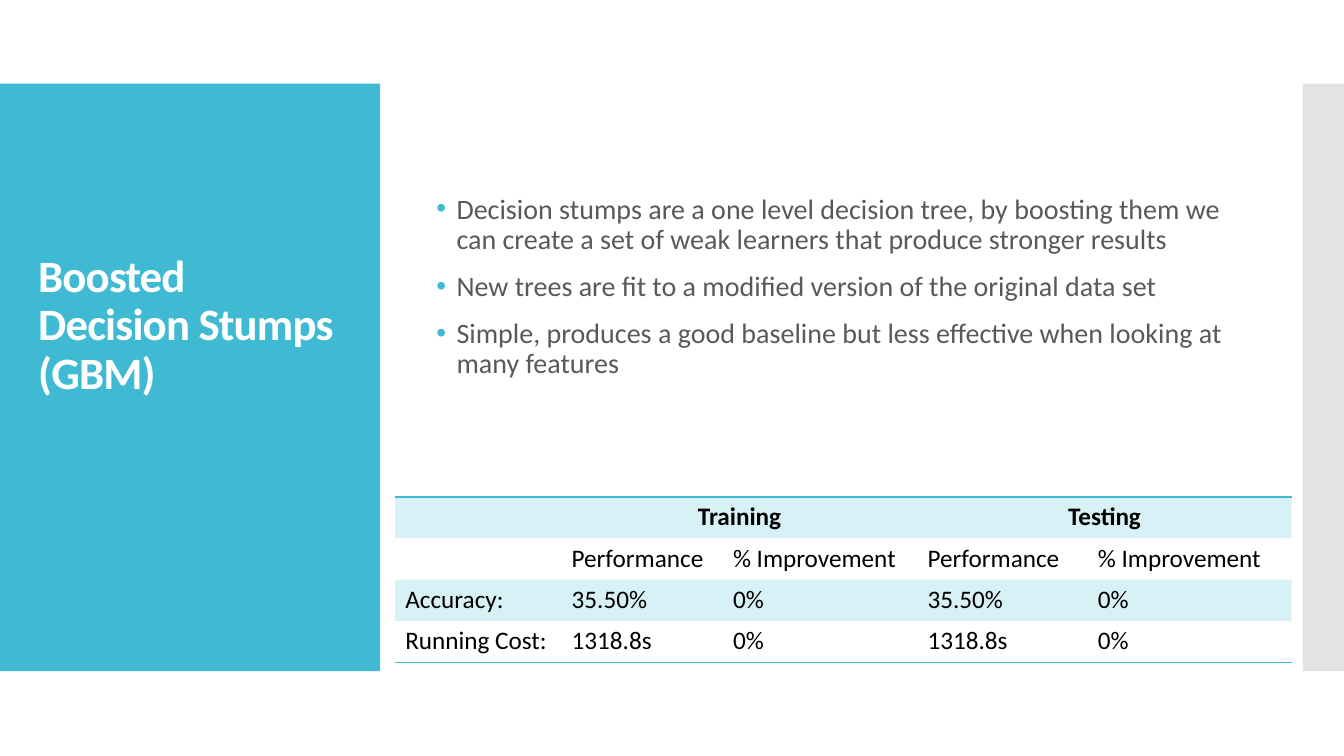
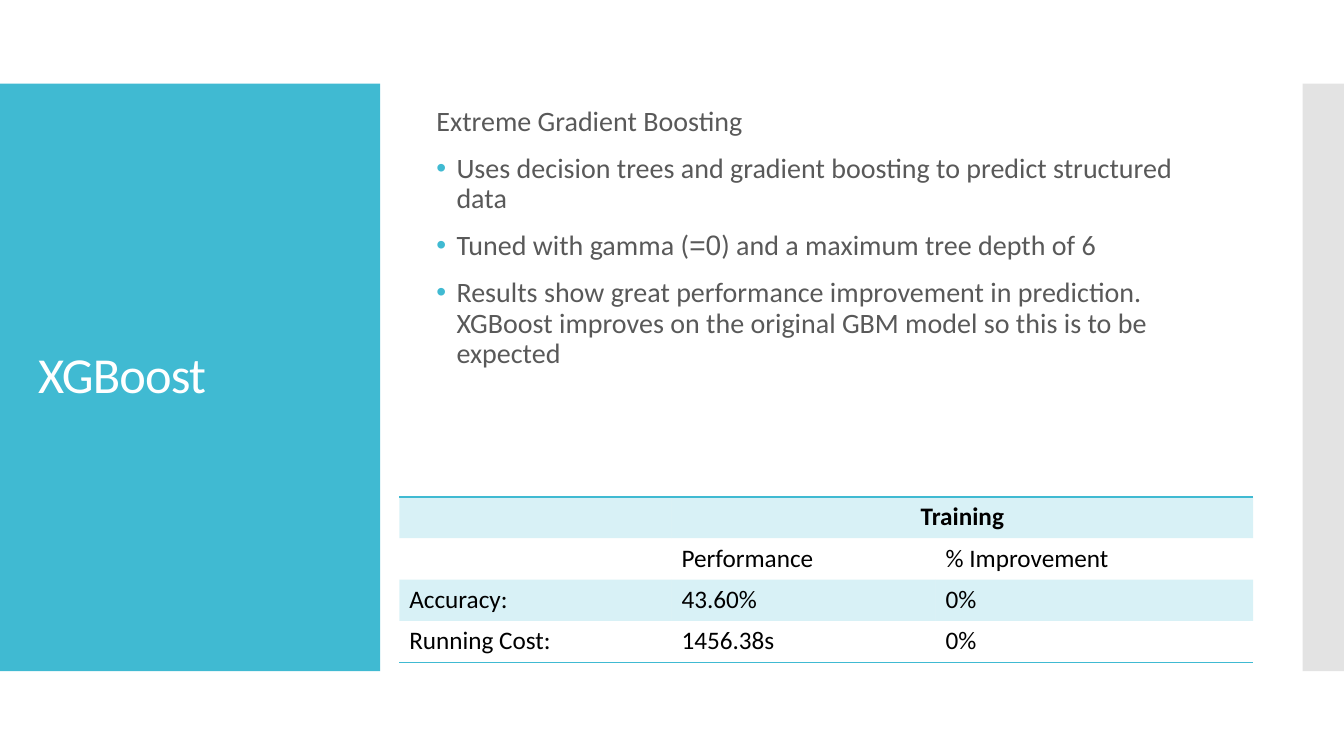
from dataclasses import dataclass

from lxml.etree import SubElement
from pptx import Presentation
from pptx.dml.color import RGBColor
from pptx.enum.shapes import MSO_SHAPE
from pptx.enum.text import MSO_ANCHOR, PP_ALIGN
from pptx.oxml import parse_xml
from pptx.oxml.ns import nsdecls, qn
from pptx.util import Inches, Pt


@dataclass(frozen=True)
class Theme:
    accent: str = "40BAD2"
    side: str = "C8C8C8"
    title: str = "FFFFFF"
    body: str = "595959"
    cell: str = "000000"
    font: str = "Calibri"
    symbol_font: str = "Arial"
    body_size: int = 20
    cell_size: int = 18
    line_spacing: float = 0.9
    space_before: int = 12
    title_tracking: int = -60  # hundredths of a point
    side_alpha: int = 50
    band_alpha: int = 20


THEME = Theme()
BAND_TOP, BAND_HEIGHT = 0.83, 5.83
TABLE_TOP, ROW_HEIGHT = 4.93, 0.41
PLAIN_TABLE = "{2D5ABB26-0587-4C30-8999-92F81FD0307C}"


# Formatting
def set_fill(fill, color, alpha=100):
    fill.solid()
    fill.fore_color.rgb = RGBColor.from_string(color)
    if alpha < 100:
        tint = fill._xPr.find(qn("a:solidFill"))[0]
        SubElement(tint, qn("a:alpha")).set("val", str(alpha * 1000))


def add_span(para, text, *, size, color, font=THEME.font, bold=False, tracking=0):
    span = para.add_run()
    span.text = text
    span.font.name = font
    span.font.size = Pt(size)
    span.font.bold = bold
    span.font.color.rgb = RGBColor.from_string(color)
    if tracking:
        span._r.get_or_add_rPr().set("spc", str(tracking))


def set_bullet(para):
    properties = para._p.get_or_add_pPr()
    indent = Inches(0.2)
    properties.set("marL", str(indent))
    properties.set("indent", str(-indent))
    color = SubElement(properties, qn("a:buClr"))
    SubElement(color, qn("a:srgbClr")).set("val", THEME.accent)
    SubElement(properties, qn("a:buFont")).set("typeface", "Arial")
    SubElement(properties, qn("a:buChar")).set("char", "•")


def set_border(cell, side):
    cell._tc.get_or_add_tcPr().insert(0, parse_xml(
        f'<a:{side} {nsdecls("a")} w="{Pt(1)}"><a:solidFill>'
        f'<a:srgbClr val="{THEME.accent}"/></a:solidFill></a:{side}>'))


# Slide parts
def add_band(page, left, width, color, alpha=100):
    band = page.shapes.add_shape(MSO_SHAPE.RECTANGLE, Inches(left), Inches(BAND_TOP),
                                 Inches(width), Inches(BAND_HEIGHT))
    band.shadow.inherit = False
    band.line.fill.background()
    set_fill(band.fill, color, alpha)


def add_frame(page, left, top, width, height):
    box = page.shapes.add_textbox(Inches(left), Inches(top), Inches(width), Inches(height))
    box.text_frame.word_wrap = True
    box.text_frame.vertical_anchor = MSO_ANCHOR.MIDDLE
    return box.text_frame


def add_title(page, text, *, height, size, bold=False):
    para = add_frame(page, 0.28, 1.23, 3.22, height).paragraphs[0]
    para.line_spacing = THEME.line_spacing
    add_span(para, text, size=size, color=THEME.title, bold=bold,
             tracking=THEME.title_tracking)


def add_body(page, bullets, *, height, lead=None):
    """Each bullet is a list of (text, font) pieces; lead is an unbulleted opening line."""
    frame = add_frame(page, 4.23, 0.94, 8, height)
    lines = [(bullet, True) for bullet in bullets]
    if lead:
        lines.insert(0, ([(lead, THEME.font)], False))
    for index, (pieces, bulleted) in enumerate(lines):
        para = frame.add_paragraph() if index else frame.paragraphs[0]
        para.line_spacing = THEME.line_spacing
        para.space_before = Pt(THEME.space_before)
        if bulleted:
            set_bullet(para)
        for text, font in pieces:
            add_span(para, text, size=THEME.body_size, color=THEME.body, font=font)


def add_results(page, left, widths, groups, accuracy, cost):
    """Each group heads a pair of columns: performance and improvement."""
    rows = [
        [""] + [text for group in groups for text in (group, "")],
        [""] + ["Performance", "% Improvement"] * len(groups),
        ["Accuracy:"] + [accuracy, "0%"] * len(groups),
        ["Running Cost:"] + [cost, "0%"] * len(groups),
    ]
    frame = page.shapes.add_table(len(rows), len(widths), Inches(left), Inches(TABLE_TOP),
                                  Inches(sum(widths)), Inches(ROW_HEIGHT * len(rows)))
    table = frame.table
    table.first_row = table.horz_banding = False
    table._tbl.tblPr.find(qn("a:tableStyleId")).text = PLAIN_TABLE
    for column, width in zip(table.columns, widths):
        column.width = Inches(width)
    for row_index, texts in enumerate(rows):
        table.rows[row_index].height = Inches(ROW_HEIGHT)
        header = row_index == 0
        for column_index, text in enumerate(texts):
            cell = table.cell(row_index, column_index)
            if row_index % 2 == 0:
                set_fill(cell.fill, THEME.accent, THEME.band_alpha)
            else:
                cell.fill.background()
            if header:
                set_border(cell, "lnT")
            elif row_index == len(rows) - 1:
                set_border(cell, "lnB")
            if text:
                para = cell.text_frame.paragraphs[0]
                para.alignment = PP_ALIGN.CENTER if header else PP_ALIGN.LEFT
                add_span(para, text, size=THEME.cell_size, color=THEME.cell, bold=header)
    for first in range(1, len(widths), 2):
        table.cell(0, first).merge(table.cell(0, first + 1))


def add_page(deck):
    page = deck.slides.add_slide(deck.slide_layouts[6])
    add_band(page, 0, 3.77, THEME.accent)
    add_band(page, 12.92, 0.42, THEME.side, THEME.side_alpha)
    return page


# Slides
def add_stumps_page(deck):
    page = add_page(deck)
    add_title(page, "Boosted Decision Stumps (GBM)", height=4.01, size=32, bold=True)
    add_body(page, [
        [("Decision stumps are a one level decision tree, by boosting them we can create "
          "a set of weak learners that produce stronger results", THEME.font)],
        [("New trees are fit to a modified version of the original data set", THEME.font)],
        [("Simple, produces a good baseline but less effective when looking at "
          "many features", THEME.font)],
    ], height=3.82)
    add_results(page, 3.92, [1.65, 1.6, 1.93, 1.69, 2.02], ["Training", "Testing"],
                "35.50%", "1318.8s")


def add_xgboost_page(deck):
    page = add_page(deck)
    add_title(page, "XGBoost", height=5.03, size=36)
    add_body(page, [
        [("Uses decision trees and gradient boosting to predict structured data", THEME.font)],
        [("Tuned with gamma (", THEME.font), ("=0", THEME.symbol_font),
         (") and a maximum tree depth of 6", THEME.font)],
        [("Results show great performance improvement in prediction. XGBoost improves on "
          "the original GBM model so this is to be expected", THEME.font)],
    ], height=2.85, lead="Extreme Gradient Boosting")
    add_results(page, 3.96, [2.7, 2.62, 3.15], ["Training"], "43.60%", "1456.38s")


def main():
    deck = Presentation()
    deck.slide_width, deck.slide_height = Inches(13.33), Inches(7.5)
    add_stumps_page(deck)
    add_xgboost_page(deck)
    deck.save("out.pptx")


if __name__ == "__main__":
    main()
